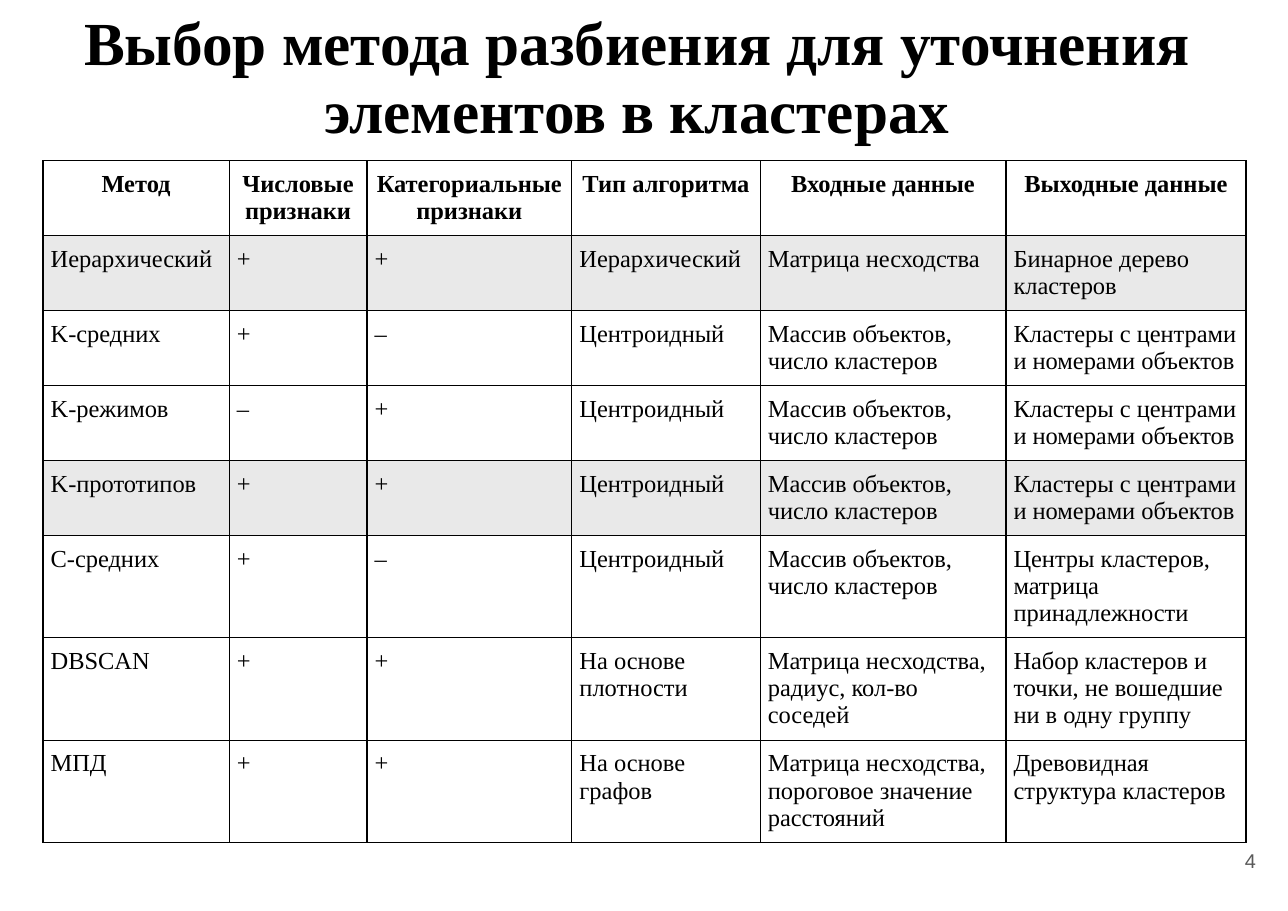
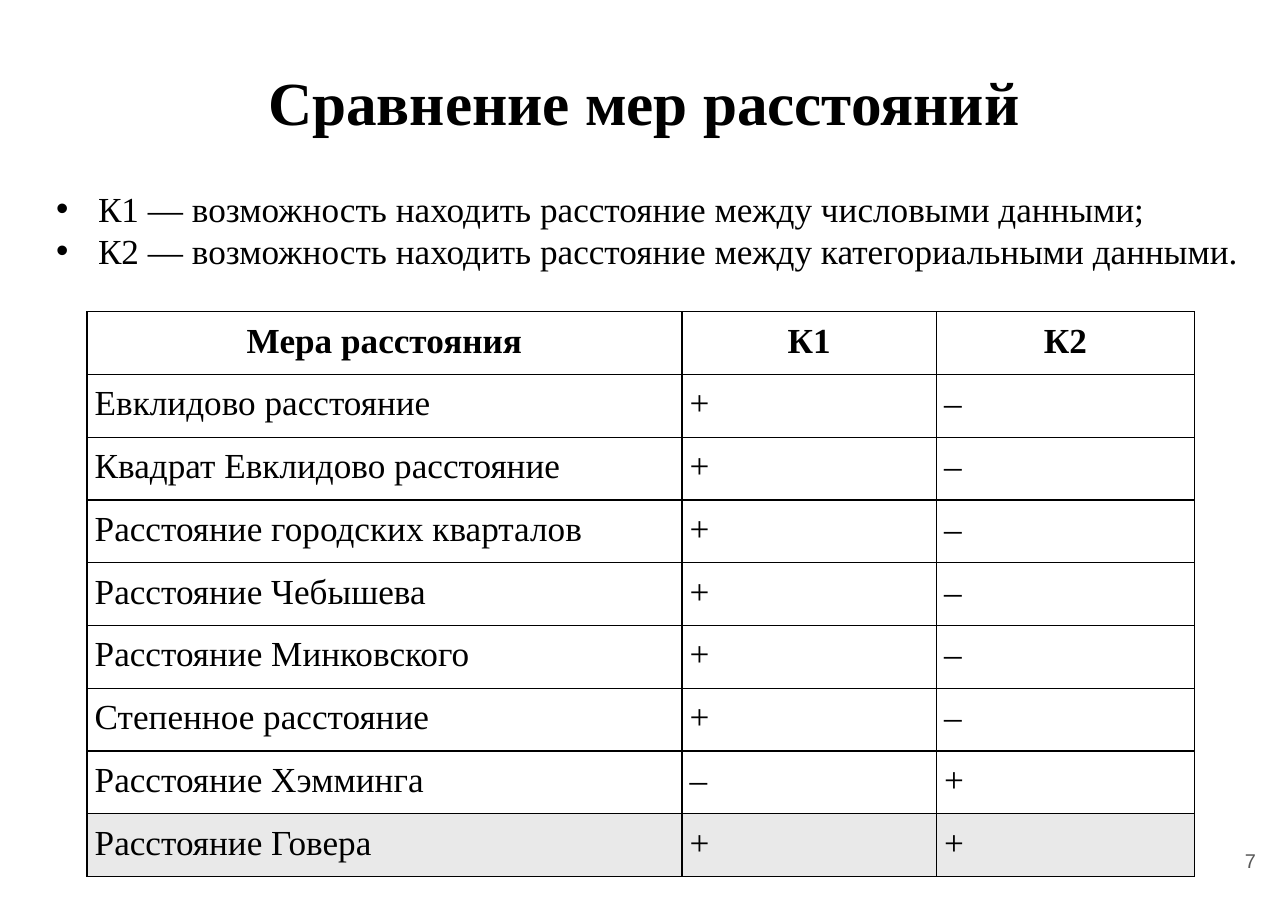
from lxml import etree
from pptx import Presentation
from pptx import util as u
from pptx.dml.color import RGBColor
from pptx.enum import text
from pptx.oxml import parse_xml
from pptx.oxml.ns import nsdecls, qn

# Shared style
BLACK, WHITE, SHADE, GREY = "000000", "FFFFFF", "E9E9E9", "595959"
SERIF, SANS = "Times New Roman", "Arial"
TITLE_SIZE, NUMBER_SIZE = 40, 13
TITLE_ONLY, TITLE_AND_BODY = 5, 1


def rgb(value):
    return RGBColor.from_string(value)


class Deck:
    """Holds the presentation, its style and the current slide."""

    def __init__(self, width, height):
        self.prs = Presentation()
        self.prs.slide_width = u.Inches(width)
        self.prs.slide_height = u.Inches(height)
        self.s = None

    def add_slide(self, layout, number):
        self.s = self.prs.slides.add_slide(self.prs.slide_layouts[layout])
        fill = self.s.background.fill
        fill.solid()
        fill.fore_color.rgb = rgb(WHITE)
        self.number(number)

    def font(self, p, size, color=BLACK, bold=False, name=SERIF):
        p.font.name, p.font.size, p.font.bold = name, u.Pt(size), bold
        p.font.color.rgb = rgb(color)

    def place(self, sp, box, insets, anchor):
        sp.left, sp.top, sp.width, sp.height = map(u.Inches, box)
        tf = sp.text_frame
        tf.word_wrap = True
        tf.auto_size = text.MSO_AUTO_SIZE.NONE
        tf.vertical_anchor = anchor
        (tf.margin_left, tf.margin_top,
         tf.margin_right, tf.margin_bottom) = map(u.Inches, insets)
        return tf

    def number(self, number):
        box = [u.Inches(v) for v in (10.83, 7.5, 0.7, 0.63)]
        sp = self.s.shapes.add_textbox(*box)
        tf = self.place(sp, (10.83, 7.5, 0.7, 0.63), [0.13] * 4,
                        text.MSO_ANCHOR.MIDDLE)
        p = tf.paragraphs[0]
        p.text = str(number)
        p.alignment = text.PP_ALIGN.RIGHT
        self.font(p, NUMBER_SIZE, GREY, name=SANS)

    def title(self, title, top, width):
        tf = self.place(self.s.shapes.title, (0.26, top, width, 0.96),
                        (0.11, 0.1, 0.11, 0.06), text.MSO_ANCHOR.TOP)
        p = tf.paragraphs[0]
        p.text = title
        p.alignment = text.PP_ALIGN.CENTER
        p.line_spacing = 0.93
        self.font(p, TITLE_SIZE, bold=True)

    def bullets(self, items, box, size):
        tf = self.place(self.s.placeholders[1], box, [0.12] * 4,
                        text.MSO_ANCHOR.TOP)
        tf.text = "\n".join(items)
        for p in tf.paragraphs:
            p.space_before = u.Pt(0)
            self.font(p, size)
            pPr = p._p.get_or_add_pPr()
            pPr.set("marL", str(u.Inches(0.51)))
            pPr.set("indent", str(u.Inches(-0.38)))
            bullet = etree.Element(qn("a:buChar"), char="•")
            pPr.insert_element_before(bullet, "a:tabLst", "a:defRPr", "a:extLst")

    def cell(self, cell, value, size, header, shaded):
        cell.text = value
        cell.margin_left = cell.margin_right = u.Inches(0.07)
        cell.margin_top = cell.margin_bottom = u.Inches(0.09)
        for p in cell.text_frame.paragraphs:
            if header:
                p.alignment = text.PP_ALIGN.CENTER
            self.font(p, size, bold=header)
        # Borders come before the fill in the cell properties
        tcPr = cell._tc.get_or_add_tcPr()
        for side in "LRTB":
            tcPr.append(parse_xml(
                f'<a:ln{side} {nsdecls("a")} w="{u.Pt(1)}"><a:solidFill>'
                f'<a:srgbClr val="{BLACK}"/></a:solidFill></a:ln{side}>'))
        cell.fill.solid()
        cell.fill.fore_color.rgb = rgb(SHADE if shaded else WHITE)

    def table(self, rows, left, top, widths, heights, size, shaded):
        gf = self.s.shapes.add_table(
            len(rows), len(widths), u.Inches(left), u.Inches(top),
            u.Inches(sum(widths)), u.Inches(sum(heights)))
        table = gf.table
        table.horz_banding = False
        for column, width in zip(table.columns, widths):
            column.width = u.Inches(width)
        for i, (row, height) in enumerate(zip(rows, heights)):
            table.rows[i].height = u.Inches(height)
            for j, value in enumerate(row):
                self.cell(table.cell(i, j), value, size, i == 0, i in shaded)


def main():
    deck = Deck(11.69, 8.27)

    # Clustering methods
    deck.add_slide(TITLE_ONLY, 4)
    centroid = "Центроидный"
    objects = "Массив объектов, число кластеров"
    centres = "Кластеры с центрами и номерами объектов"
    methods = [
        ("Метод", "Числовые признаки", "Категориальные признаки",
         "Тип алгоритма", "Входные данные", "Выходные данные"),
        ("Иерархический", "+", "+", "Иерархический", "Матрица несходства",
         "Бинарное дерево\nкластеров"),
        ("K-средних", "+", "–", centroid, objects, centres),
        ("K-режимов", "–", "+", centroid, objects, centres),
        ("K-прототипов", "+", "+", centroid, objects, centres),
        ("C-средних", "+", "–", centroid, objects,
         "Центры кластеров, матрица принадлежности"),
        ("DBSCAN", "+", "+", "На основе плотности",
         "Матрица несходства,\nрадиус, кол-во\nсоседей",
         "Набор кластеров и\nточки, не вошедшие\nни в одну группу"),
        ("МПД", "+", "+", "На основе графов",
         "Матрица несходства,\nпороговое значение\nрасстояний",
         "Древовидная структура кластеров"),
    ]
    deck.table(methods, 0.39, 1.46, (1.69, 1.25, 1.86, 1.71, 2.23, 2.18),
               [0.68] * 5 + [0.93] * 3, 16, shaded=(1, 4))
    deck.title("Выбор метода разбиения для уточнения элементов в кластерах",
               0, 11.04)

    # Distance measures
    deck.add_slide(TITLE_AND_BODY, 7)
    deck.bullets(
        ["К1 — возможность находить расстояние между числовыми данными;",
         "К2 — возможность находить расстояние между категориальными данными."],
        (0.26, 1.58, 11.27, 1.01), 23)
    deck.title("Сравнение мер расстояний", 0.54, 11.17)
    measures = [
        ("Мера расстояния", "К1", "К2"),
        ("Евклидово расстояние", "+", "–"),
        ("Квадрат Евклидово расстояние", "+", "–"),
        ("Расстояние городских кварталов", "+", "–"),
        ("Расстояние Чебышева", "+", "–"),
        ("Расстояние Минковского", "+", "–"),
        ("Степенное расстояние", "+", "–"),
        ("Расстояние Хэмминга", "–", "+"),
        ("Расстояние Говера", "+", "+"),
    ]
    deck.table(measures, 0.79, 2.83, (5.4, 2.31, 2.34),
               [0.57] * len(measures), 23, shaded=(8,))

    deck.prs.save("out.pptx")


if __name__ == "__main__":
    main()
